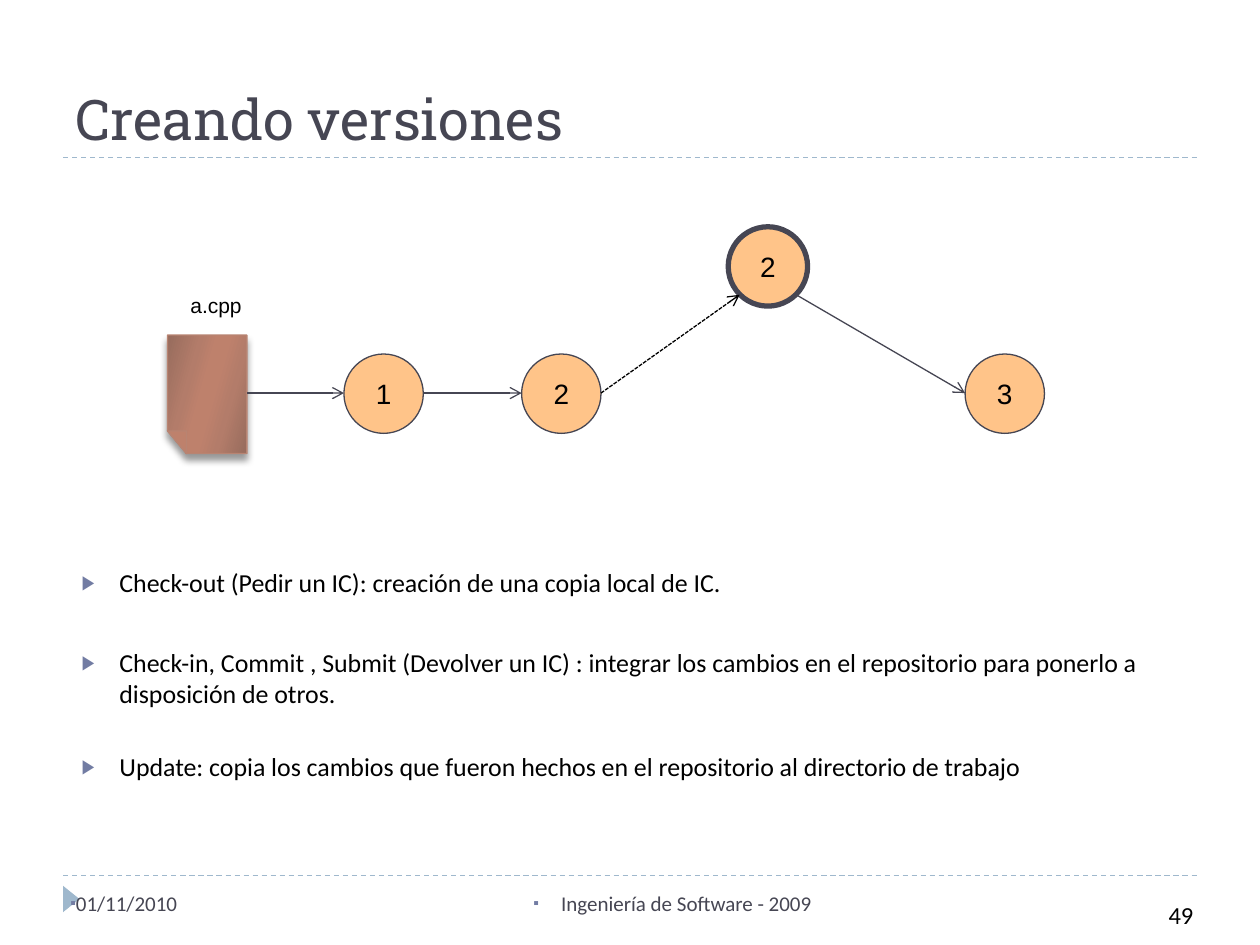
from dataclasses import dataclass

from lxml.etree import SubElement
from pptx import Presentation
from pptx.dml.color import RGBColor
from pptx.enum.dml import MSO_LINE
from pptx.enum.shapes import MSO_CONNECTOR, MSO_SHAPE
from pptx.enum.text import MSO_ANCHOR, PP_ALIGN
from pptx.oxml import parse_xml
from pptx.oxml.ns import nsdecls, qn
from pptx.util import Pt

PX = 9144


@dataclass(frozen=True)
class Theme:
    ink: str = "464653"
    black: str = "000000"
    rule: str = "9FB8CD"
    bullet: str = "727CA3"
    node: str = "FFC489"
    sheet_line: str = "B88472"
    sheet_stops: tuple = ((0, "976C5D"), (30, "B37C6A"), (45, "BE816C"),
                          (55, "BE816C"), (73, "B37C6A"), (100, "976C5D"))
    heading_font: str = "Roboto Slab"
    body_font: str = "Calibri"
    label_font: str = "Arial"
    title_size: float = 32
    node_size: float = 16
    body_size: float = 14.8
    number_size: float = 14
    small_size: float = 12


THEME = Theme()


def rgb(value):
    return RGBColor.from_string(value)


def emu(*lengths):
    return [length * PX for length in lengths]


def style(para, font, size, color, align=PP_ALIGN.LEFT):
    para.alignment = align
    for span in para.runs:
        span.font.name = font
        span.font.size = Pt(size)
        span.font.color.rgb = rgb(color)


def add_bullet(para, char, margin):
    props = para._p.get_or_add_pPr()
    props.set("marL", str(margin * PX))
    props.set("indent", str(-margin * PX))
    color = SubElement(props, qn("a:buClr"))
    SubElement(color, qn("a:srgbClr"), val=THEME.bullet)
    SubElement(props, qn("a:buSzPct"), val="76000")
    SubElement(props, qn("a:buFont"), typeface=THEME.label_font)
    SubElement(props, qn("a:buChar"), char=char)


def add_text(page, box, text, font, size, color, align=PP_ALIGN.LEFT,
             anchor=MSO_ANCHOR.TOP, wrap=True):
    frame = page.shapes.add_textbox(*emu(*box)).text_frame
    frame.word_wrap = wrap
    frame.vertical_anchor = anchor
    frame.text = text
    for para in frame.paragraphs:
        style(para, font, size, color, align)
    return frame


def add_line(page, start, end, color, dash=None, arrow=False):
    line = page.shapes.add_connector(MSO_CONNECTOR.STRAIGHT, *emu(*start, *end))
    line.line.color.rgb = rgb(color)
    line.line.width = Pt(0.75)
    if dash:
        line.line.dash_style = dash
    if arrow:
        SubElement(line.line._get_or_add_ln(), qn("a:tailEnd"), type="arrow")
    SubElement(line._element.spPr, qn("a:effectLst"))


def add_title(page, box, text):
    left, top, width, height = box
    bottom = top + height
    add_text(page, box, text, THEME.heading_font, THEME.title_size, THEME.ink,
             anchor=MSO_ANCHOR.BOTTOM)
    add_line(page, (left, bottom), (left + width, bottom), THEME.rule, MSO_LINE.DASH)


def add_outline(page, points):
    builder = page.shapes.build_freeform(*points[0], scale=PX)
    builder.add_line_segments(points[1:], close=True)
    shape = builder.convert_to_shape()
    shape.shadow.inherit = False
    shape.line.color.rgb = rgb(THEME.sheet_line)
    shape.line.width = Pt(0.75)
    return shape


def add_sheet(page, box):
    left, top, width, height = box
    right, bottom = left + width, top + height
    fold_x, fold_y = left + 15, bottom - 18
    sheet = add_outline(page, [(left, top), (right, top), (right, bottom),
                               (fold_x, bottom), (left, fold_y)])
    props = sheet._element.spPr
    stops = "".join(f'<a:gs pos="{place * 1000}"><a:srgbClr val="{color}"/></a:gs>'
                    for place, color in THEME.sheet_stops)
    gradient = parse_xml(f'<a:gradFill {nsdecls("a")}><a:gsLst>{stops}</a:gsLst>'
                         '<a:lin ang="960000" scaled="0"/></a:gradFill>')
    props.find(qn("a:custGeom")).addnext(gradient)
    shadow = SubElement(props.find(qn("a:effectLst")), qn("a:outerShdw"),
                        blurRad=str(Pt(4)), dist=str(Pt(3.4)), dir="5400000",
                        rotWithShape="0")
    shade = SubElement(shadow, qn("a:srgbClr"), val=THEME.black)
    SubElement(shade, qn("a:alpha"), val="40000")
    fold = add_outline(page, [(left, fold_y), (fold_x, fold_y), (fold_x, bottom)])
    fold.fill.solid()
    fold.fill.fore_color.rgb = rgb(THEME.sheet_stops[2][1])


def add_node(page, box, text, weight=0.75):
    node = page.shapes.add_shape(MSO_SHAPE.OVAL, *emu(*box))
    node.shadow.inherit = False
    node.fill.solid()
    node.fill.fore_color.rgb = rgb(THEME.node)
    node.line.color.rgb = rgb(THEME.ink)
    node.line.width = Pt(weight)
    frame = node.text_frame
    frame.word_wrap = False
    frame.margin_left = frame.margin_right = frame.margin_top = frame.margin_bottom = 0
    frame.vertical_anchor = MSO_ANCHOR.MIDDLE
    frame.text = text
    style(frame.paragraphs[0], THEME.label_font, THEME.node_size, THEME.black,
          PP_ALIGN.CENTER)


def add_version_graph(page, box):
    left, top, _, _ = box
    size = 63
    main_row, branch_row = top + 101, top
    middle = main_row + size // 2
    first, second, branch, third = [left + x for x in (140, 281, 445, 633)]
    inset = 9
    branch_foot = branch_row + size - inset
    add_sheet(page, (left, top + 86, size, 94))
    add_text(page, (left + 8, top + 47, 61, 30), "a.cpp", THEME.label_font,
             THEME.small_size, THEME.black, PP_ALIGN.CENTER, wrap=False)
    for x, text in ((first, "1"), (second, "2"), (third, "3")):
        add_node(page, (x, main_row, size, size), text)
    add_node(page, (branch, branch_row, size, size), "2", 3)
    for start, end in (((left + size, middle), (first, middle)),
                       ((first + size, middle), (second, middle)),
                       ((branch + size - inset, branch_foot), (third, middle))):
        add_line(page, start, end, THEME.ink, arrow=True)
    add_line(page, (second + size, middle), (branch + inset, branch_foot),
             THEME.black, MSO_LINE.SQUARE_DOT, arrow=True)


def add_definitions(page, box, items):
    frame = add_text(page, box, "\n".join(text for text, _ in items),
                     THEME.body_font, THEME.body_size, THEME.black)
    for para, (_, space) in zip(frame.paragraphs, items):
        add_bullet(para, "▶", 30)
        if space:
            para.space_before = Pt(space)


def add_footer(page, box, date, course, number):
    left, top, width, _ = box
    add_line(page, (left, top), (left + width, top), THEME.rule, MSO_LINE.DASH)
    marker = page.shapes.add_shape(MSO_SHAPE.ISOSCELES_TRIANGLE,
                                   *emu(left - 4, top + 12, 21, 13))
    marker.rotation = 90
    marker.shadow.inherit = False
    marker.fill.solid()
    marker.fill.fore_color.rgb = rgb(THEME.rule)
    marker.line.fill.background()
    for x, span_width, text, align, margin in (
            (left - 4, 233, date, PP_ALIGN.LEFT, 0),
            (left + 287, 317, course, PP_ALIGN.RIGHT, 22)):
        frame = add_text(page, (x, top + 7, span_width, 40), text, THEME.body_font,
                         THEME.small_size, THEME.ink, align)
        add_bullet(frame.paragraphs[0], "▪", margin)
    add_text(page, (left + 716, top + 14, 191, 33), number, THEME.body_font,
             THEME.number_size, THEME.black, PP_ALIGN.RIGHT)


def main():
    deck = Presentation()
    deck.slide_width, deck.slide_height = emu(1000, 750)
    page = deck.slides.add_slide(deck.slide_layouts[6])
    add_title(page, (50, 17, 900, 108), "Creando versiones")
    add_version_graph(page, (133, 180, 696, 180))
    add_definitions(page, (55, 445, 883, 177), (
        ("Check-out (Pedir un IC): creación de una copia local de IC.", 0),
        ("Check-in, Commit , Submit (Devolver un IC) : integrar los cambios en el "
         "repositorio para ponerlo a disposición de otros.", 28),
        ("Update: copia los cambios que fueron hechos en el repositorio al "
         "directorio de trabajo", 24)))
    add_footer(page, (50, 695, 900, 47), "01/11/2010",
               "Ingeniería de Software - 2009", "49")
    deck.save("out.pptx")


if __name__ == "__main__":
    main()
